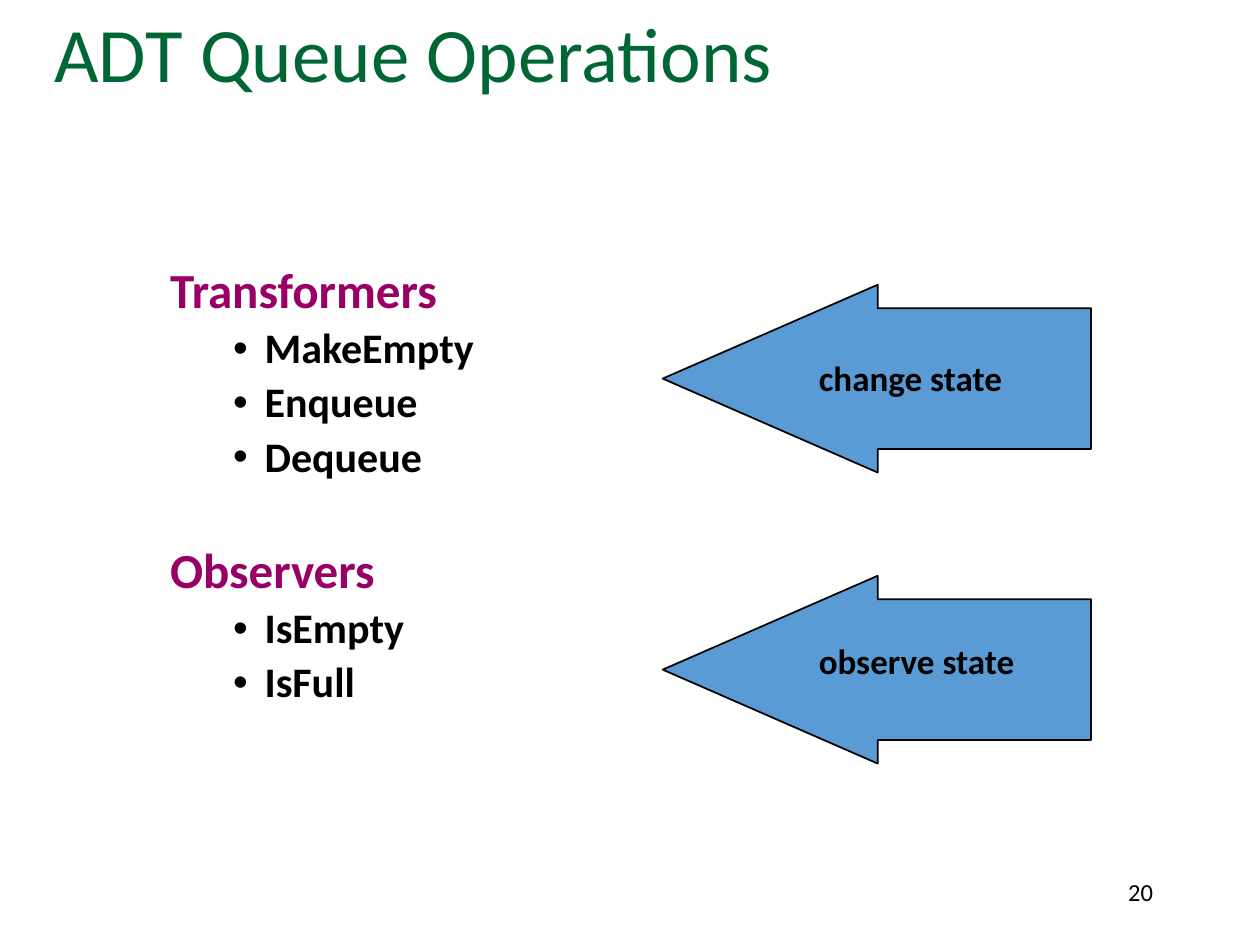
from lxml import etree
from pptx import Presentation
from pptx.dml.color import RGBColor
from pptx.enum.shapes import MSO_SHAPE
from pptx.enum.text import MSO_ANCHOR, MSO_AUTO_SIZE, PP_ALIGN
from pptx.oxml.ns import qn
from pptx.util import Inches, Pt

LEFT_ARROW = MSO_SHAPE.LEFT_ARROW
TOP, MIDDLE = MSO_ANCHOR.TOP, MSO_ANCHOR.MIDDLE
LEFT, RIGHT = PP_ALIGN.LEFT, PP_ALIGN.RIGHT
NO_AUTOFIT = MSO_AUTO_SIZE.NONE

GREEN = RGBColor(0x00, 0x66, 0x33)
PURPLE = RGBColor(0x99, 0x00, 0x66)
BLUE = RGBColor(0x5B, 0x9B, 0xD5)
BLACK = RGBColor(0x00, 0x00, 0x00)

GROUPS = {
    "Transformers": ["MakeEmpty", "Enqueue", "Dequeue"],
    "Observers": ["IsEmpty", "IsFull"],
}
ARROW_TOPS = [30.13, 60.93]


class SlideBuilder:
    """Adds styled elements; boxes are (left, top, width, height) in percent of the slide."""

    font_name = "Calibri"
    line_spacing = 0.9

    def __init__(self, presentation):
        self.presentation = presentation
        self.slide = presentation.slides.add_slide(presentation.slide_layouts[1])

    def to_lengths(self, box):
        width, height = self.presentation.slide_width, self.presentation.slide_height
        return [int(share * size / 100) for share, size in zip(box, (width, height) * 2)]

    def place(self, shape, box):
        shape.left, shape.top, shape.width, shape.height = self.to_lengths(box)
        shape.text_frame.auto_size = NO_AUTOFIT
        shape.text_frame.vertical_anchor = TOP

    def style(self, paragraph, size, color, bold=False, align=LEFT):
        paragraph.alignment = align
        font = paragraph.font
        font.name, font.size, font.bold = self.font_name, Pt(size), bold
        font.color.rgb = color

    def set_bullet(self, paragraph, indent, character=None):
        properties = paragraph._p.get_or_add_pPr()
        properties.set("marL", str(Inches(indent)))
        properties.set("indent", str(Inches(-0.25)))
        if character:
            font = etree.Element(qn("a:buFont"), typeface="Arial")
            bullet = [font, etree.Element(qn("a:buChar"), char=character)]
        else:
            bullet = [etree.Element(qn("a:buNone"))]
        properties.find(qn("a:defRPr")).getparent()
        for element in bullet:
            properties.find(qn("a:defRPr")).addprevious(element)

    def title(self, text, box):
        shape = self.slide.shapes.title
        self.place(shape, box)
        shape.text_frame.text = text
        paragraph = shape.text_frame.paragraphs[0]
        paragraph.line_spacing = self.line_spacing
        self.style(paragraph, 44, GREEN)

    def grouped_list(self, groups, box):
        shape = self.slide.placeholders[1]
        self.place(shape, box)
        entries = [(text, level) for heading, items in groups.items()
                   for text, level in [(heading, 0)] + [(item, 1) for item in items]]
        frame = shape.text_frame
        frame.text = "\n".join(text for text, _ in entries)
        for paragraph, (_, level) in zip(frame.paragraphs, entries):
            paragraph.level = level
            paragraph.line_spacing = self.line_spacing
            paragraph.space_before = Pt(5 if level else 37)
            paragraph.space_after = Pt(0)
            self.style(paragraph, 24 if level else 28, BLACK if level else PURPLE, bold=True)
            self.set_bullet(paragraph, 0.75 if level else 0.25, "•" if level else None)
        frame.paragraphs[0].space_before = Pt(0)

    def arrow(self, box):
        shape = self.slide.shapes.add_shape(LEFT_ARROW, *self.to_lengths(box))
        shape.shadow.inherit = False
        shape.adjustments[0], shape.adjustments[1] = 0.75, 1.145
        shape.fill.solid()
        shape.fill.fore_color.rgb = BLUE
        shape.line.color.rgb = BLACK
        shape.line.width = Pt(1)

    def text(self, lines, box, size, bold=False, align=LEFT, anchor=TOP, gap=0):
        shape = self.slide.shapes.add_textbox(*self.to_lengths(box))
        frame = shape.text_frame
        frame.word_wrap = True
        frame.vertical_anchor = anchor
        frame.text = "\n".join(lines)
        for index, paragraph in enumerate(frame.paragraphs):
            paragraph.space_before = Pt(gap if index else 0)
            self.style(paragraph, size, BLACK, bold, align)


def main():
    presentation = Presentation()
    presentation.slide_width, presentation.slide_height = Inches(10), Inches(7.5)
    builder = SlideBuilder(presentation)
    builder.title("ADT Queue Operations", (3.3, 1.07, 94.2, 17.73))
    builder.grouped_list(GROUPS, (12.5, 27.47, 70.8, 61.07))
    for top in ARROW_TOPS:
        builder.arrow((52.6, top, 34, 19.87))
    builder.text(["change state", "observe state"], (64, 37.07, 19.9, 51.2),
                 20, bold=True, gap=138)
    builder.text(["20"], (85.8, 91.07, 6.7, 6.67), 14, align=RIGHT, anchor=MIDDLE)
    presentation.save("out.pptx")


if __name__ == "__main__":
    main()
